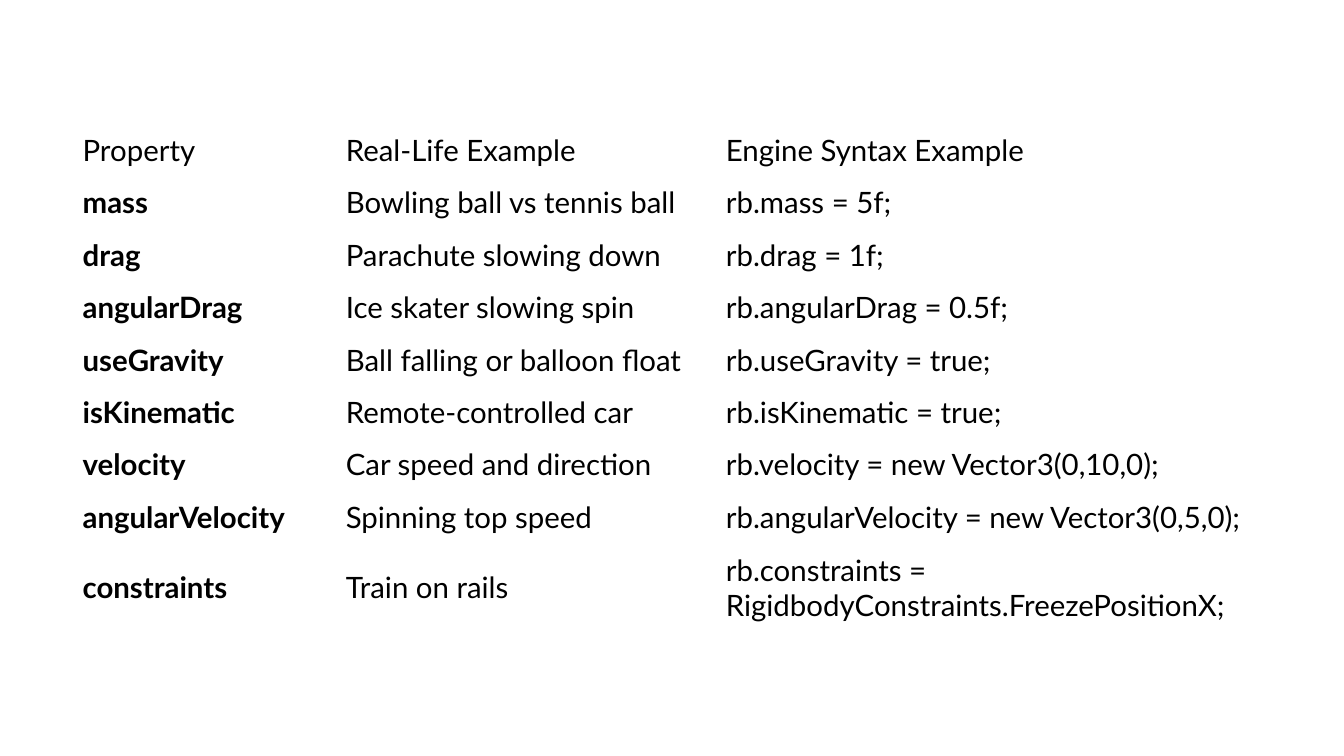
from dataclasses import dataclass

from pptx import Presentation
from pptx.dml.color import RGBColor
from pptx.enum.text import MSO_ANCHOR
from pptx.util import Inches, Pt

MIDDLE = MSO_ANCHOR.MIDDLE
BLANK_LAYOUT = 6

HEADINGS = ("Property", "Real-Life Example", "Engine Syntax Example")
PROPERTIES = [
    ("mass", "Bowling ball vs tennis ball", "rb.mass = 5f;"),
    ("drag", "Parachute slowing down", "rb.drag = 1f;"),
    ("angularDrag", "Ice skater slowing spin", "rb.angularDrag = 0.5f;"),
    ("useGravity", "Ball falling or balloon float", "rb.useGravity = true;"),
    ("isKinematic", "Remote-controlled car", "rb.isKinematic = true;"),
    ("velocity", "Car speed and direction", "rb.velocity = new Vector3(0,10,0);"),
    ("angularVelocity", "Spinning top speed", "rb.angularVelocity = new Vector3(0,5,0);"),
    ("constraints", "Train on rails", "rb.constraints = RigidbodyConstraints.FreezePositionX;"),
]
COLUMN_WIDTHS = (2.61, 3.77, 5.54)
ROW_HEIGHTS = [0.52] * len(PROPERTIES) + [0.88]


@dataclass(frozen=True)
class Theme:
    font: str = "Lato"
    size: int = 21
    ink: RGBColor = RGBColor(0, 0, 0)
    paper: RGBColor = RGBColor(255, 255, 255)


def apply_format(target, values):
    for name, value in values.items():
        setattr(target, name, value)


class SlideBuilder:
    def __init__(self, slide, theme):
        self.slide = slide
        self.theme = theme

    def background(self):
        fill = self.slide.background.fill
        fill.solid()
        fill.fore_color.rgb = self.theme.paper

    def table(self, left, top, widths, heights, rows):
        """Add a plain table whose first column is bold below the headings."""
        table = self.slide.shapes.add_table(
            len(rows), len(widths), Inches(left), Inches(top),
            Inches(sum(widths)), Inches(sum(heights))).table
        apply_format(table, {"first_row": False, "horz_banding": False})
        for column, width in zip(table.columns, widths):
            column.width = Inches(width)
        for row, height in zip(table.rows, heights):
            row.height = Inches(height)
        for r, entries in enumerate(rows):
            for c, text in enumerate(entries):
                self.cell(table.cell(r, c), text, bold=r > 0 and c == 0)

    def cell(self, cell, text, bold):
        apply_format(cell, {
            "text": text,
            "vertical_anchor": MIDDLE,
            "margin_left": Inches(0.12),
            "margin_right": Inches(0.12),
            "margin_top": Inches(0.06),
            "margin_bottom": Inches(0.06),
        })
        cell.fill.solid()
        cell.fill.fore_color.rgb = self.theme.paper
        font = cell.text_frame.paragraphs[0].runs[0].font
        apply_format(font, {"name": self.theme.font,
                            "size": Pt(self.theme.size), "bold": bold})
        font.color.rgb = self.theme.ink


def main():
    deck = Presentation()
    apply_format(deck, {"slide_width": Inches(13.33), "slide_height": Inches(7.5)})
    slide = deck.slides.add_slide(deck.slide_layouts[BLANK_LAYOUT])
    builder = SlideBuilder(slide, Theme())
    builder.background()
    builder.table(0.7, 1.23, COLUMN_WIDTHS, ROW_HEIGHTS, [HEADINGS, *PROPERTIES])
    deck.save("out.pptx")


if __name__ == "__main__":
    main()
